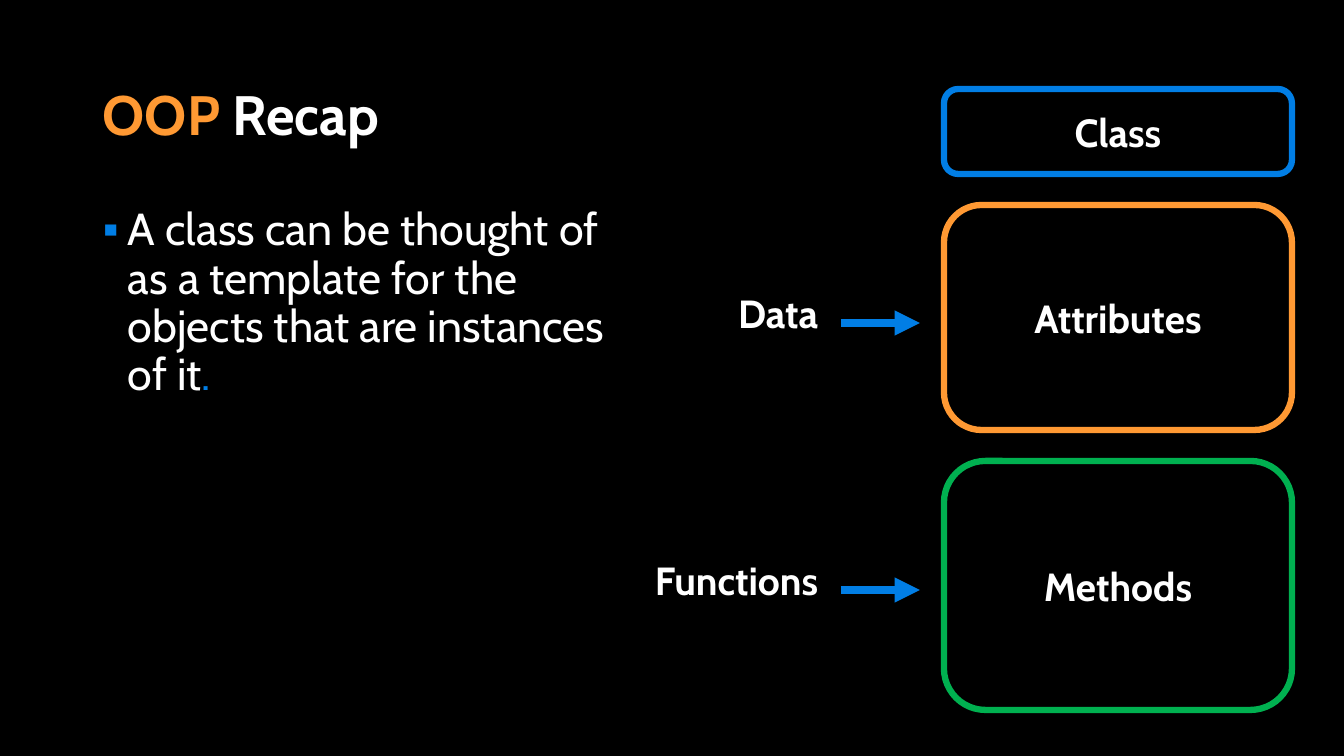
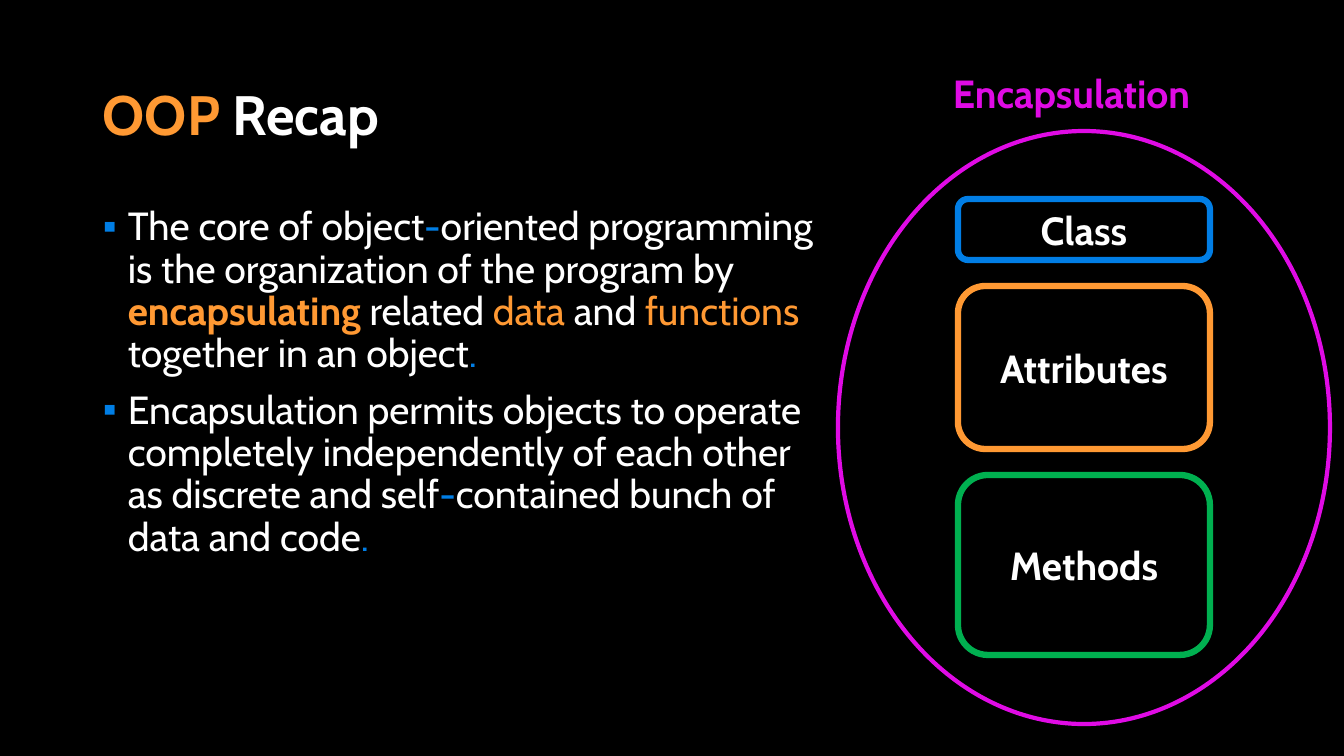
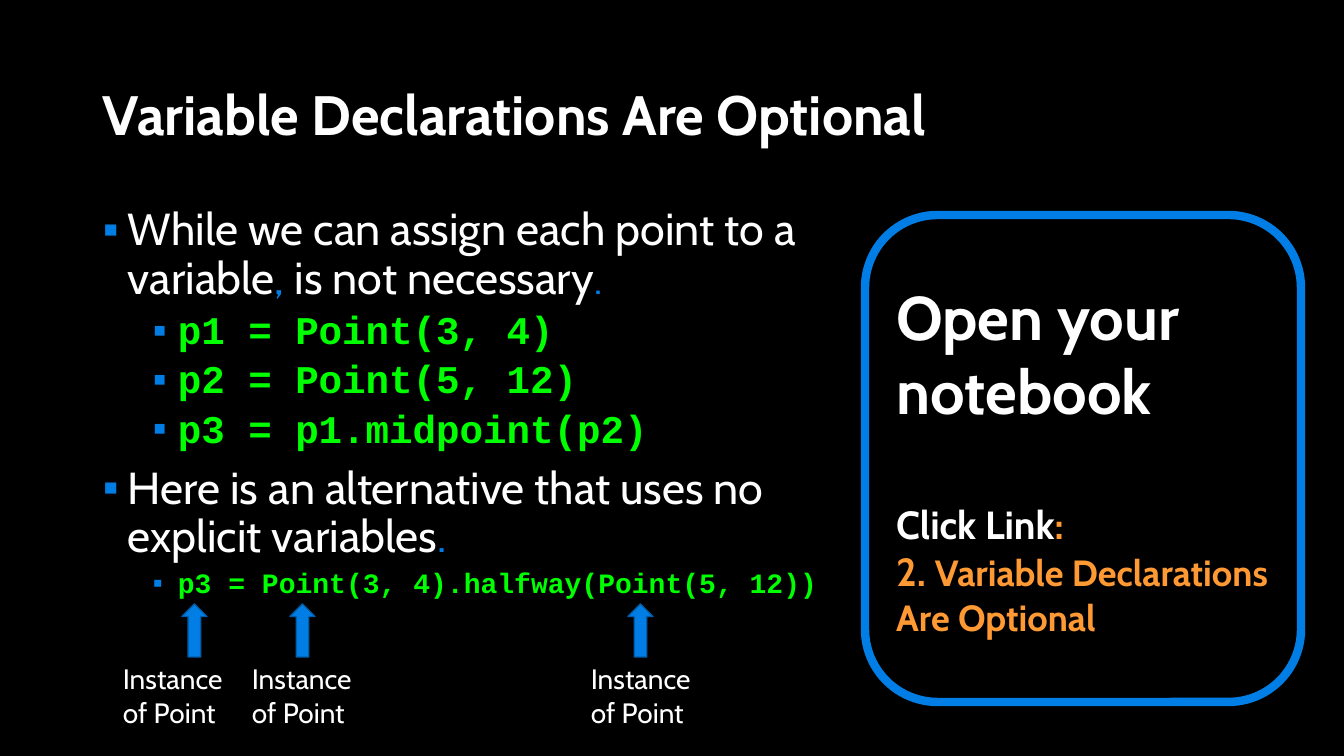
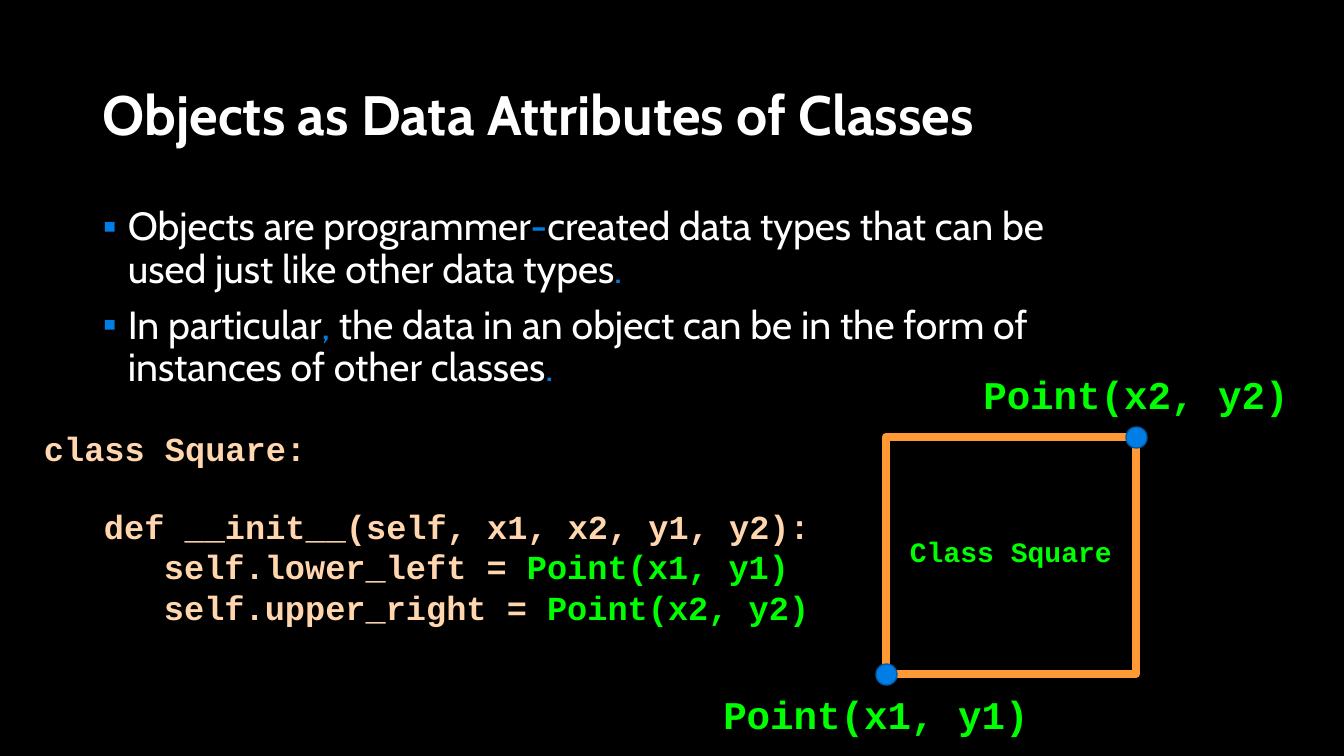
import dataclasses

import lxml.etree
import pptx
import pptx.dml.color
import pptx.enum.shapes
import pptx.enum.text
import pptx.oxml.ns
import pptx.util

RGB = pptx.dml.color.RGBColor.from_string
BLACK = RGB("000000")
WHITE = RGB("FFFFFF")
BLUE = RGB("017EE5")
DARK_BLUE = RGB("015DA9")
ORANGE = RGB("FF9933")
PEACH = RGB("FFD6AD")
GREEN = RGB("00B050")
LIME = RGB("00FF00")
MAGENTA = RGB("E00BE5")
BULLET_COLOR = "007EE5"

SHAPES = pptx.enum.shapes.MSO_SHAPE
ALIGN = pptx.enum.text.PP_ALIGN
ANCHOR = pptx.enum.text.MSO_ANCHOR
AUTO_SIZE = pptx.enum.text.MSO_AUTO_SIZE
EMU_PER_PX = 914400 / 100.8
INDENT = 25


@dataclasses.dataclass(frozen=True)
class Style:
    size: float
    color: pptx.dml.color.RGBColor = WHITE
    bold: bool = False
    font: str = "Cabin"

    def but(self, **changes):
        return dataclasses.replace(self, **changes)


TITLE = Style(39.6, bold=True)
LARGE_BODY = Style(32)
BODY = Style(28)
LABEL = Style(28, bold=True)
CAPTION = Style(20)
CODE = Style(28, LIME, True, "Courier New")
LISTING = CODE.but(size=24, color=PEACH)


def px(length):
    return pptx.util.Emu(round(length * EMU_PER_PX))


def box(left, top, width, height):
    return px(left), px(top), px(width), px(height)


def add_element(parent, tag, **attributes):
    return lxml.etree.SubElement(parent, pptx.oxml.ns.qn(tag), attributes)


def add_runs(paragraph, style, runs):
    for run_item in runs:
        text, run_style = (run_item, style) if isinstance(run_item, str) else run_item
        run = paragraph.add_run()
        run.text = text
        run.font.name = run_style.font
        run.font.size = pptx.util.Pt(run_style.size)
        run.font.bold = run_style.bold
        run.font.color.rgb = run_style.color


def next_paragraph(frame):
    first = frame.paragraphs[0]
    return frame.add_paragraph() if first.runs else first


def indent_paragraph(paragraph, left, first_line=0):
    properties = paragraph._p.get_or_add_pPr()
    properties.set("marL", str(px(left)))
    properties.set("indent", str(px(first_line)))
    return properties


def add_text_box(slide, bounds, wrap=True, grow=False):
    frame = slide.shapes.add_textbox(*box(*bounds)).text_frame
    frame.word_wrap = wrap
    frame.auto_size = AUTO_SIZE.SHAPE_TO_FIT_TEXT if grow else AUTO_SIZE.NONE
    return frame


def add_label(slide, bounds, text, style, align=ALIGN.LEFT, wrap=False):
    paragraph = add_text_box(slide, bounds, wrap, True).paragraphs[0]
    paragraph.alignment = align
    add_runs(paragraph, style, [text])


def add_titled_slide(presentation, *runs):
    slide = presentation.slides.add_slide(presentation.slide_layouts[6])
    frame = add_text_box(slide, (93, 81, 1159, 73))
    frame.vertical_anchor = ANCHOR.MIDDLE
    paragraph = frame.paragraphs[0]
    paragraph.line_spacing = 0.9
    add_runs(paragraph, TITLE, runs)
    return slide


def add_body(slide, width):
    return add_text_box(slide, (93, 202, width, 533))


def add_bullet(frame, style, *runs, level=0):
    paragraph = next_paragraph(frame)
    paragraph.level = level
    paragraph.line_spacing = 0.9
    paragraph.space_before = pptx.util.Pt(5 if level else 10)
    properties = indent_paragraph(paragraph, INDENT * (1 + 2 * level), -INDENT)
    color = add_element(properties, "a:buClr")
    add_element(color, "a:srgbClr", val=BULLET_COLOR)
    add_element(properties, "a:buFont", typeface="Arial")
    add_element(properties, "a:buChar", char="▪")
    add_runs(paragraph, style, runs)


def add_shape(slide, kind, bounds, line_color, line_width, fill=None):
    shape = slide.shapes.add_shape(kind, *box(*bounds))
    shape.shadow.inherit = False
    if fill is None:
        shape.fill.background()
    else:
        shape.fill.solid()
        shape.fill.fore_color.rgb = fill
    shape.line.color.rgb = line_color
    shape.line.width = pptx.util.Pt(line_width)
    shape.text_frame.word_wrap = True
    shape.text_frame.vertical_anchor = ANCHOR.MIDDLE
    return shape


def add_class_stack(slide, left, top, width, heights, gap):
    parts = (("Class", BLUE), ("Attributes", ORANGE), ("Methods", GREEN))
    for (name, color), height in zip(parts, heights):
        bounds = (left, top, width, height)
        shape = add_shape(slide, SHAPES.ROUNDED_RECTANGLE, bounds, color, 4.5)
        paragraph = shape.text_frame.paragraphs[0]
        paragraph.alignment = ALIGN.CENTER
        add_runs(paragraph, LABEL, [name])
        top += height + gap


def add_arrow(slide, left, right, y):
    connector = slide.shapes.add_connector(
        pptx.enum.shapes.MSO_CONNECTOR.STRAIGHT, px(left), px(y), px(right), px(y))
    connector.line.color.rgb = BLUE
    connector.line.width = pptx.util.Pt(6)
    add_element(connector.line._get_or_add_ln(), "a:tailEnd", type="triangle")
    add_element(connector._element.spPr, "a:effectLst")


def add_dot(slide, center_x, center_y, size=21):
    bounds = (center_x - size // 2, center_y - size // 2, size, size)
    add_shape(slide, SHAPES.OVAL, bounds, DARK_BLUE, 1, BLUE)


def add_recap_slide(presentation):
    return add_titled_slide(presentation, ("OOP", TITLE.but(color=ORANGE)), " Recap")


def build_class_slide(presentation):
    slide = add_recap_slide(presentation)
    add_bullet(
        add_body(slide, 535), LARGE_BODY,
        "A class can be thought of as a template for the objects that are instances of it",
        (".", LARGE_BODY.but(color=BLUE)))
    add_class_stack(slide, 944, 89, 348, (85, 225, 249), 31)
    for name, left, top in (("Data", 721, 284), ("Functions", 628, 551)):
        add_label(slide, (left, top, 828 - left, 57), name, LABEL, ALIGN.RIGHT)
        add_arrow(slide, 841, 920, top + 39)


def build_encapsulation_slide(presentation):
    slide = add_recap_slide(presentation)
    blue = BODY.but(color=BLUE)
    orange = BODY.but(color=ORANGE)
    body = add_body(slide, 749)
    add_bullet(
        body, BODY, "The core of object", ("-", blue),
        "oriented programming is the organization of the program by ",
        ("encapsulating", orange.but(bold=True)), " related ", ("data", orange),
        " and ", ("functions", orange), " together in an object", (".", blue))
    add_bullet(
        body, BODY,
        "Encapsulation permits objects to operate completely independently "
        "of each other as discrete and self",
        ("-", blue), "contained bunch of data and code", (".", blue))
    add_class_stack(slide, 958, 199, 252, (61, 163, 180), 26)
    add_shape(slide, SHAPES.OVAL, (838, 131, 492, 593), MAGENTA, 3)
    add_label(slide, (943, 64, 279, 57), "Encapsulation", LABEL.but(color=MAGENTA))


def add_notebook_box(slide):
    shape = add_shape(slide, SHAPES.ROUNDED_RECTANGLE, (865, 215, 436, 487), BLUE, 6)
    orange = LABEL.but(color=ORANGE)
    paragraphs = (
        (0, ["Open your notebook"], LABEL.but(size=44)),
        (53, ["Click Link", (":", orange)], LABEL),
        (0, ["2. ", ("Variable Declarations Are Optional", orange.but(size=26))], orange),
    )
    for space_before, runs, style in paragraphs:
        paragraph = next_paragraph(shape.text_frame)
        paragraph.alignment = ALIGN.LEFT
        paragraph.space_before = pptx.util.Pt(space_before)
        add_runs(paragraph, style, runs)


def build_variables_slide(presentation):
    slide = add_titled_slide(presentation, "Variable Declarations Are Optional")
    blue = LARGE_BODY.but(color=BLUE)
    body = add_body(slide, 758)
    add_bullet(
        body, LARGE_BODY, "While we can assign each point to a variable", (",", blue),
        " is not necessary", (".", blue.but(size=28)))
    for statement in ("p1 = Point(3, 4)", "p2 = Point(5, 12)", "p3 = p1.midpoint(p2)"):
        add_bullet(body, CODE, statement, level=1)
    add_bullet(
        body, LARGE_BODY, "Here is an alternative that uses no explicit variables",
        (".", blue))
    add_bullet(
        body, CODE.but(size=20), "p3 = Point(3, 4).halfway(Point(5, 12))", level=1)
    add_notebook_box(slide)
    for arrow_left, caption_left in ((182, 113), (290, 242), (628, 581)):
        add_shape(slide, SHAPES.UP_ARROW, (arrow_left, 604, 25, 53), DARK_BLUE, 1, BLUE)
        add_label(
            slide, (caption_left, 657, 127, 78), "Instance of Point", CAPTION, wrap=True)


def add_listing(slide):
    frame = add_text_box(slide, (34, 423, 834, 254), grow=True)
    point = LISTING.but(color=LIME)
    lines = (
        (0, 0, ["class Square:"]),
        (1, 27, ["def __init__(self, x1, x2, y1, y2):"]),
        (2, 0, ["self.lower_left = ", ("Point(x1, y1)", point)]),
        (2, 0, ["self.upper_right = ", ("Point(x2, y2)", point)]),
    )
    for depth, space_before, runs in lines:
        paragraph = next_paragraph(frame)
        paragraph.space_before = pptx.util.Pt(space_before)
        indent_paragraph(paragraph, 60 * depth)
        add_runs(paragraph, LISTING, runs)


def build_square_slide(presentation):
    slide = add_titled_slide(presentation, "Objects as Data Attributes of Classes")
    blue = BODY.but(color=BLUE)
    body = add_body(slide, 985)
    add_bullet(
        body, BODY, "Objects are programmer", ("-", blue),
        "created data types that can be used just like other data types", (".", blue))
    add_bullet(
        body, BODY, "In particular", (",", blue),
        " the data in an object can be in the form of instances of other classes",
        (".", blue))
    left, top, width, height = 886, 437, 250, 237
    add_shape(slide, SHAPES.RECTANGLE, (left, top, width, height), ORANGE, 6)
    add_dot(slide, left, top + height)
    add_dot(slide, left + width, top)
    add_listing(slide)
    labels = (
        ((899, 530, 224, 44), "Class Square", CODE.but(size=20)),
        ((712, 685, 328, 57), "Point(x1, y1)", CODE),
        ((972, 365, 328, 57), "Point(x2, y2)", CODE),
    )
    for bounds, text, style in labels:
        add_label(slide, bounds, text, style, ALIGN.CENTER)


def main():
    presentation = pptx.Presentation()
    presentation.slide_width = px(1344)
    presentation.slide_height = px(756)
    background = presentation.slide_master.background.fill
    background.solid()
    background.fore_color.rgb = BLACK
    build_class_slide(presentation)
    build_encapsulation_slide(presentation)
    build_variables_slide(presentation)
    build_square_slide(presentation)
    presentation.save("out.pptx")


if __name__ == "__main__":
    main()
